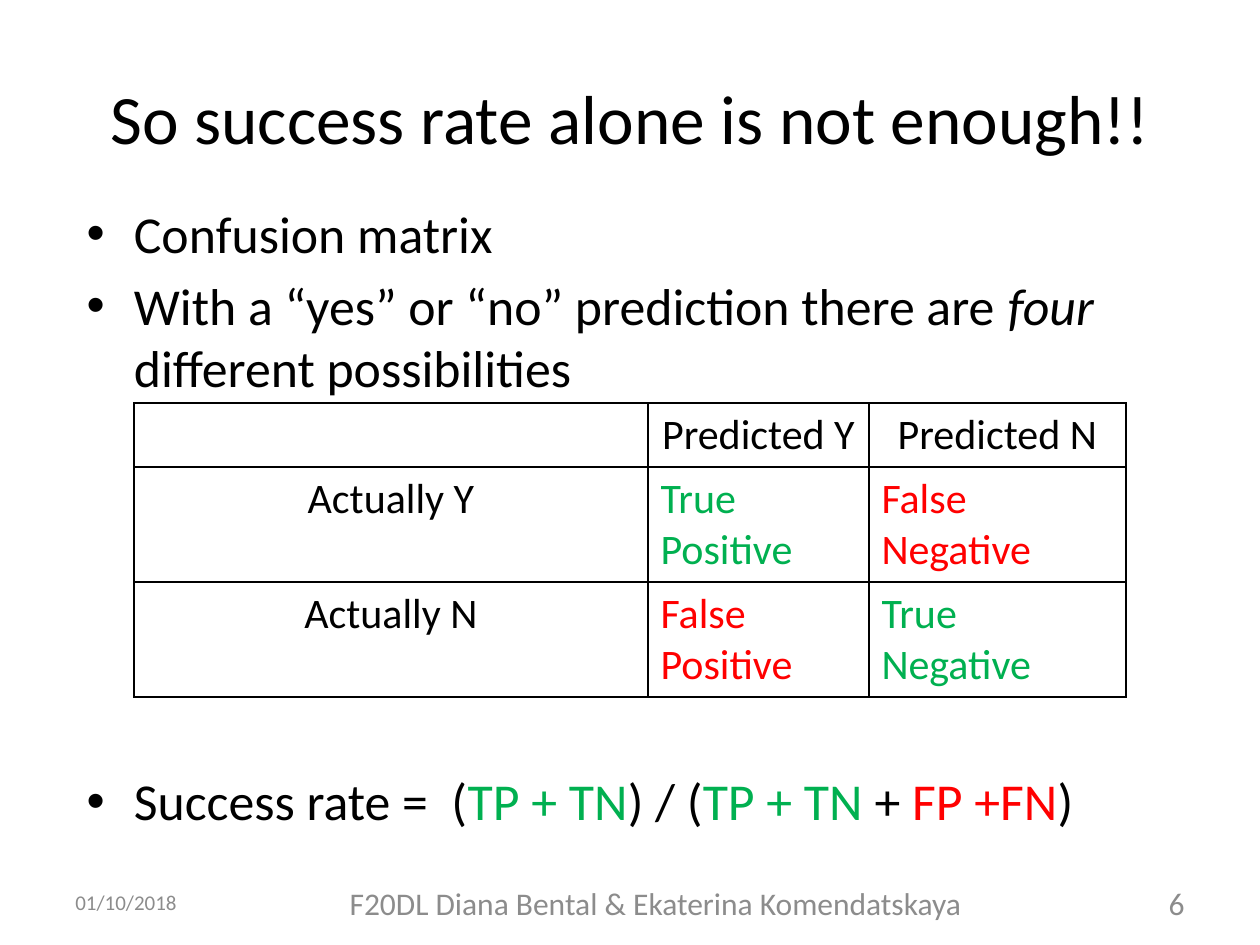
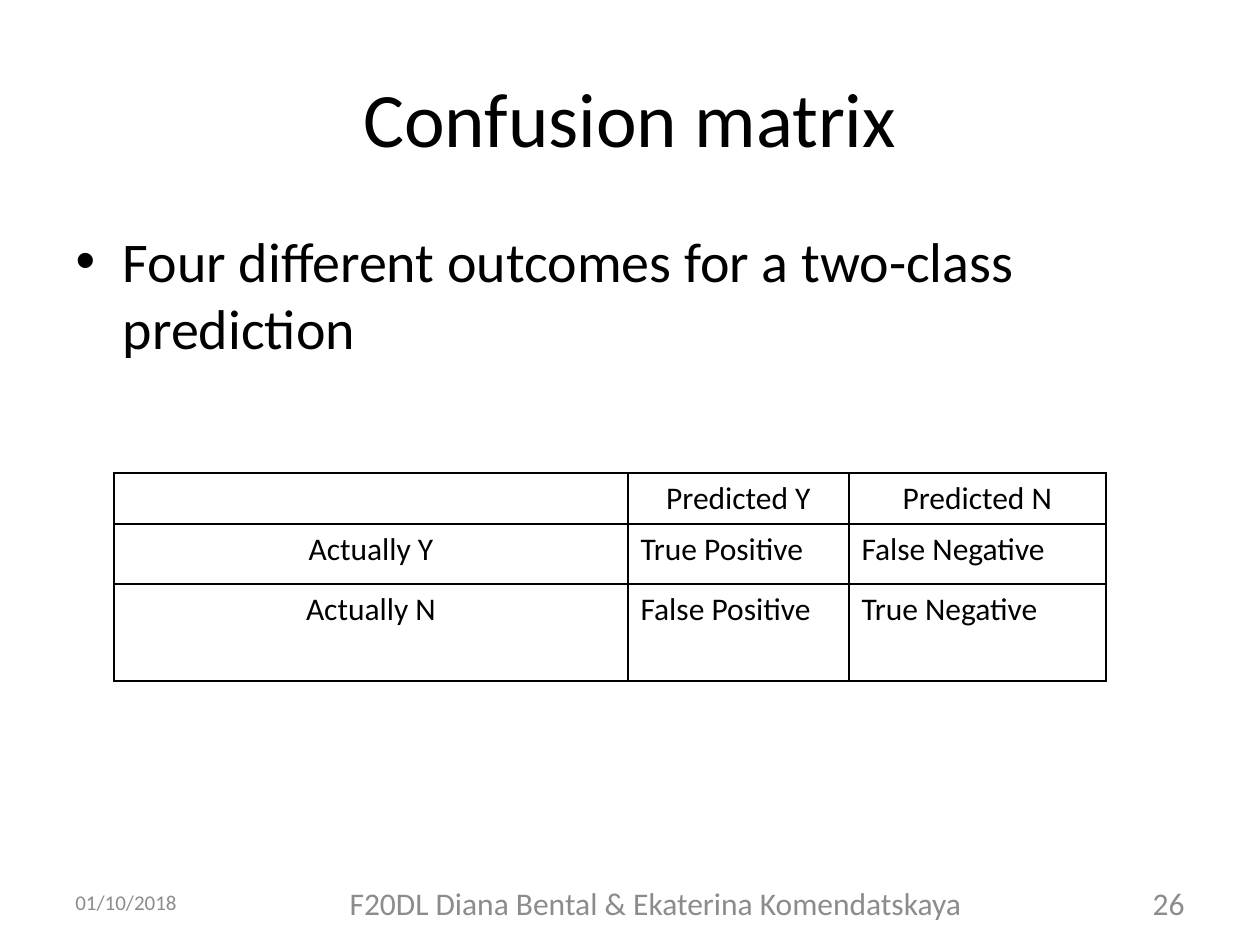
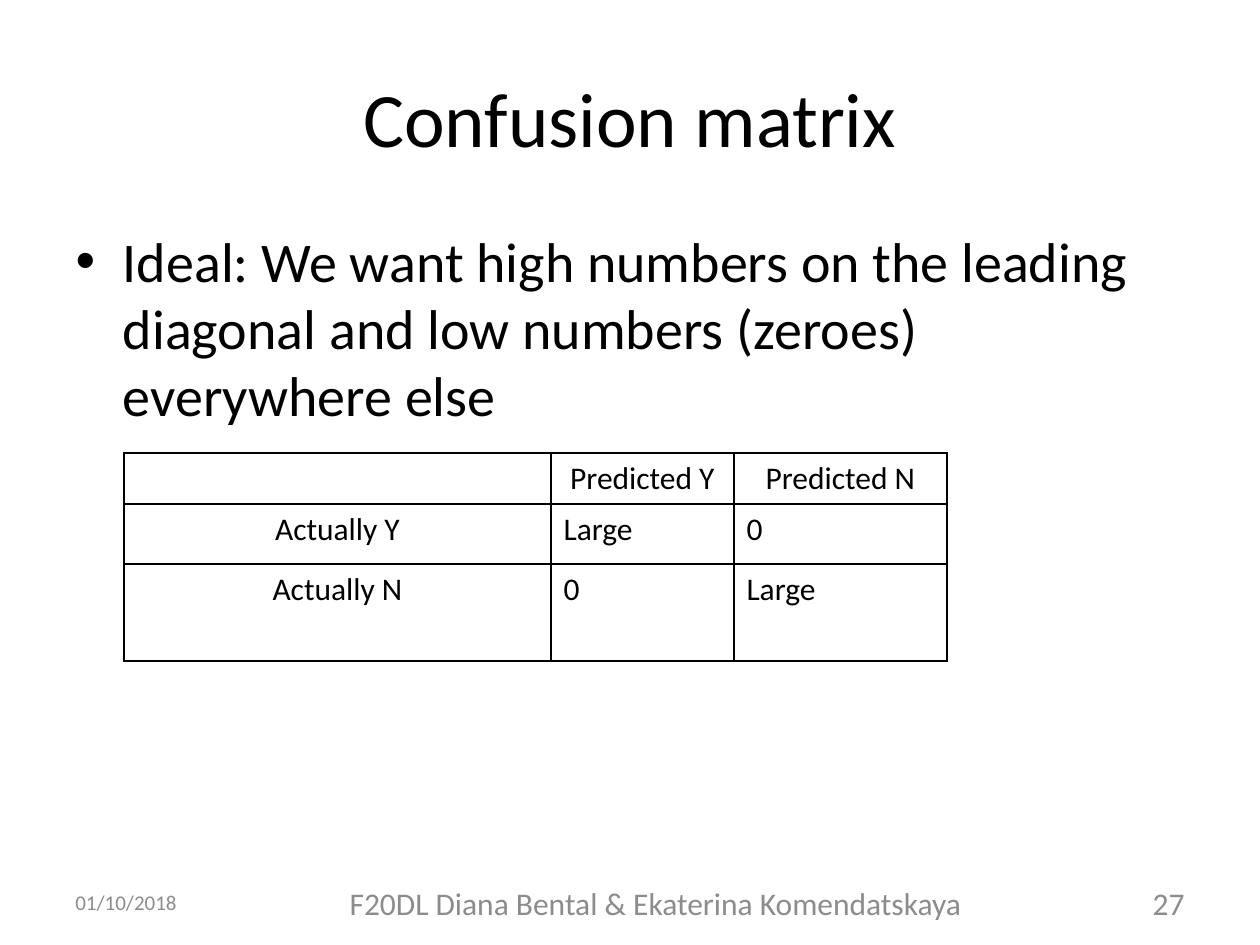
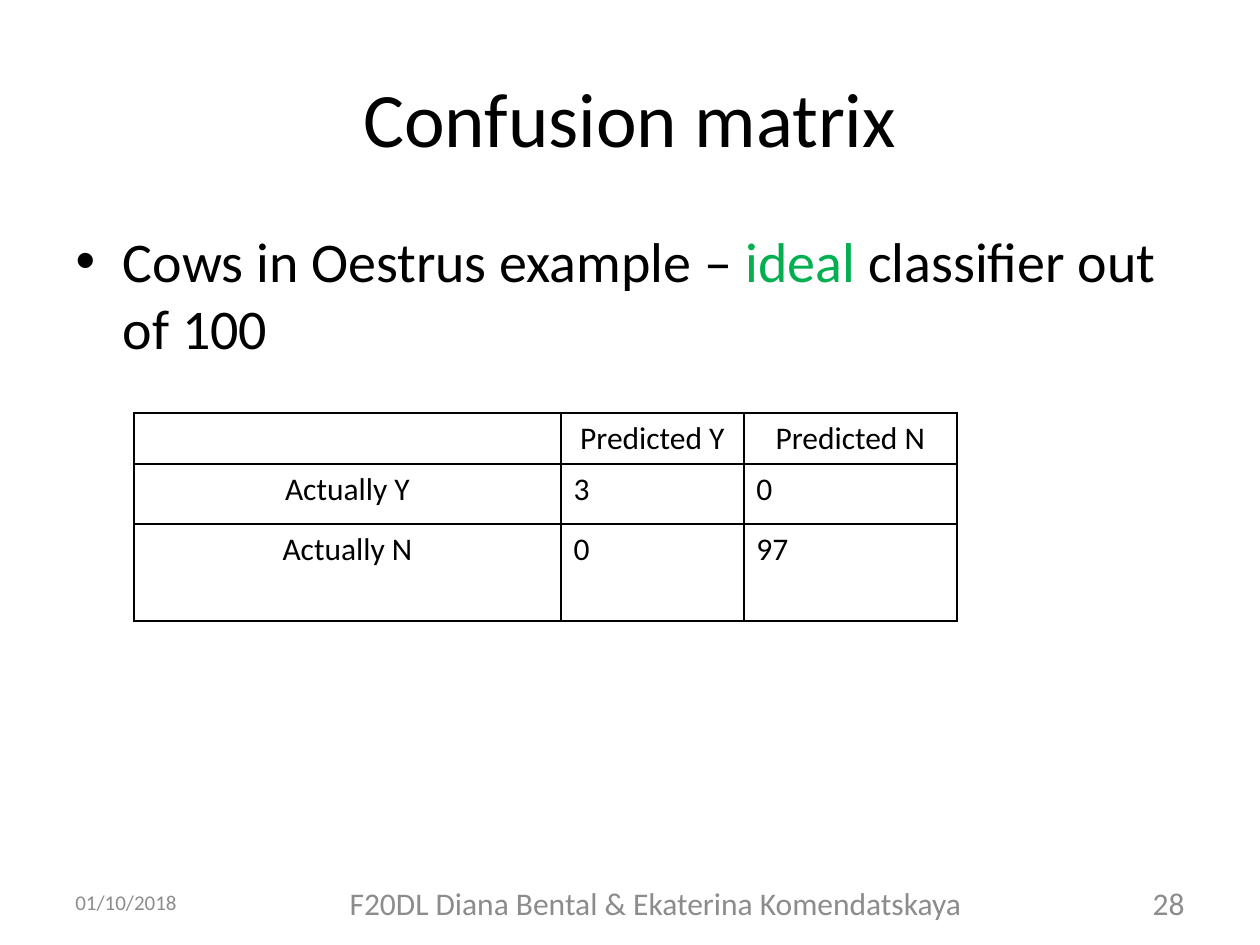
from lxml import etree
from pptx import Presentation
from pptx.dml.color import RGBColor
from pptx.enum.text import MSO_ANCHOR, MSO_AUTO_SIZE, PP_ALIGN
from pptx.oxml.ns import qn
from pptx.util import Emu, Pt

PX = 914400 // 126
FONT = "Calibri"
COLOURS = {"text": "000000", "right": "00B050", "wrong": "FF0000", "footer": "8C8C8C"}
TITLE_BOX = (63, 38, 1134, 157)
BODY_BOX = (63, 220, 1134, 624)
WIDE_COLUMNS = (514, 221, 257)
NARROW_COLUMNS = (427, 183, 213)
LOW_ROWS = (51, 60, 97)
FOOTERS = (  # box, size, alignment
    ((63, 876, 150, 53), 12, PP_ALIGN.LEFT),
    ((234, 880, 843, 46), 18, PP_ALIGN.CENTER),
    ((1106, 880, 91, 46), 18, PP_ALIGN.RIGHT),
)


def px(length):
    return Emu(length * PX)


def add_run(paragraph, text, size, colour="text", italic=None):
    run = paragraph.add_run()
    run.text = text
    run.font.name = FONT
    run.font.size = Pt(size)
    run.font.italic = italic
    run.font.color.rgb = RGBColor.from_string(COLOURS[colour])


def place(placeholder, box):
    placeholder.left, placeholder.top, placeholder.width, placeholder.height = map(px, box)
    placeholder.text_frame.auto_size = MSO_AUTO_SIZE.NONE


def add_title(slide, text, size):
    title = slide.shapes.title
    place(title, TITLE_BOX)
    add_run(title.text_frame.paragraphs[0], text, size)


def add_body(slide, bullets, box, size):
    """Fill the body with bullets, each a list of run arguments."""
    body = slide.placeholders[1]
    place(body, box)
    frame = body.text_frame
    for index, runs in enumerate(bullets):
        paragraph = frame.add_paragraph() if index else frame.paragraphs[0]
        if index == 0:
            paragraph.space_before = Pt(0)
        for text, *style in runs:
            add_run(paragraph, text, size, *style)
    return frame


def add_footers(slide, number):
    texts = ("01/10/2018", "F20DL Diana Bental & Ekaterina Komendatskaya", str(number))
    for text, (box, size, alignment) in zip(texts, FOOTERS):
        frame = slide.shapes.add_textbox(*map(px, box)).text_frame
        frame.word_wrap = True
        frame.vertical_anchor = MSO_ANCHOR.MIDDLE
        paragraph = frame.paragraphs[0]
        paragraph.alignment = alignment
        add_run(paragraph, text, size, "footer")


def outline_cell(cell):
    properties = cell._tc.get_or_add_tcPr()
    for side in ("lnL", "lnR", "lnT", "lnB"):
        line = etree.SubElement(properties, qn(f"a:{side}"), w=str(Pt(1)))
        fill = etree.SubElement(line, qn("a:solidFill"))
        etree.SubElement(fill, qn("a:srgbClr"), val=COLOURS["text"])
    cell.fill.background()


def add_confusion_matrix(slide, outcomes, origin, columns, rows=LOW_ROWS, size=18, coloured=False):
    """Draw a 2 x 2 matrix of outcomes with its headings; the diagonal is the right one."""
    extent = (sum(columns), sum(rows))
    table = slide.shapes.add_table(3, 3, *map(px, origin + extent)).table
    table.first_row = table.horz_banding = False
    for column, width in zip(table.columns, columns):
        column.width = px(width)
    for row, height in zip(table.rows, rows):
        row.height = px(height)

    grid = [("", "Predicted Y", "Predicted N"),
            ("Actually Y", *outcomes[0]),
            ("Actually N", *outcomes[1])]
    for r, texts in enumerate(grid):
        for c, text in enumerate(texts):
            cell = table.cell(r, c)
            outline_cell(cell)
            heading = r == 0 or c == 0
            colour = "text"
            if coloured and not heading:
                colour = "right" if r == c else "wrong"
            paragraph = cell.text_frame.paragraphs[0]
            paragraph.alignment = PP_ALIGN.CENTER if heading else PP_ALIGN.LEFT
            if text:
                add_run(paragraph, text, size, colour)


def start_slide(deck, title, number, title_size=44):
    slide = deck.slides.add_slide(deck.slide_layouts[1])
    add_title(slide, title, title_size)
    add_footers(slide, number)
    return slide


def add_success_rate_slide(deck, outcomes):
    slide = start_slide(deck, "So success rate alone is not enough!!", 6, 39.6)
    bullets = [
        [("Confusion matrix",)],
        [("With a “yes” or “no” prediction there are ",), ("four", "text", True),
         (" different possibilities",)],
        [("Success rate =  (",), ("TP + TN", "right"), (") / (",), ("TP + TN ", "right"),
         ("+ ",), ("FP +FN", "wrong"), (")",)],
    ]
    body = add_body(slide, bullets, (74, 195, 1134, 624), 29.6)
    body.paragraphs[-1].space_before = Pt(212)  # room for the matrix
    add_confusion_matrix(slide, outcomes, (134, 403), WIDE_COLUMNS, (64, 115, 115), 24, True)


def add_matrix_slide(deck, number, runs, outcomes, origin, columns):
    slide = start_slide(deck, "Confusion matrix", number)
    add_body(slide, [runs], BODY_BOX, 32)
    add_confusion_matrix(slide, outcomes, origin, columns)


def main():
    deck = Presentation()
    deck.slide_width, deck.slide_height = px(1260), px(945)
    outcomes = (("True Positive", "False Negative"), ("False Positive", "True Negative"))

    add_success_rate_slide(deck, outcomes)
    add_matrix_slide(deck, 26, [("Four different outcomes for a two-class prediction",)],
                     outcomes, (114, 473), WIDE_COLUMNS)
    add_matrix_slide(deck, 27, [("Ideal: We want high numbers on the leading diagonal "
                                 "and low numbers (zeroes) everywhere else",)],
                     (("Large", "0"), ("0", "Large")), (124, 453), NARROW_COLUMNS)
    add_matrix_slide(deck, 28, [("Cows in Oestrus example – ",), ("ideal", "right"),
                                (" classifier out of 100",)],
                     (("3", "0"), ("0", "97")), (134, 413), NARROW_COLUMNS)
    deck.save("out.pptx")


if __name__ == "__main__":
    main()
